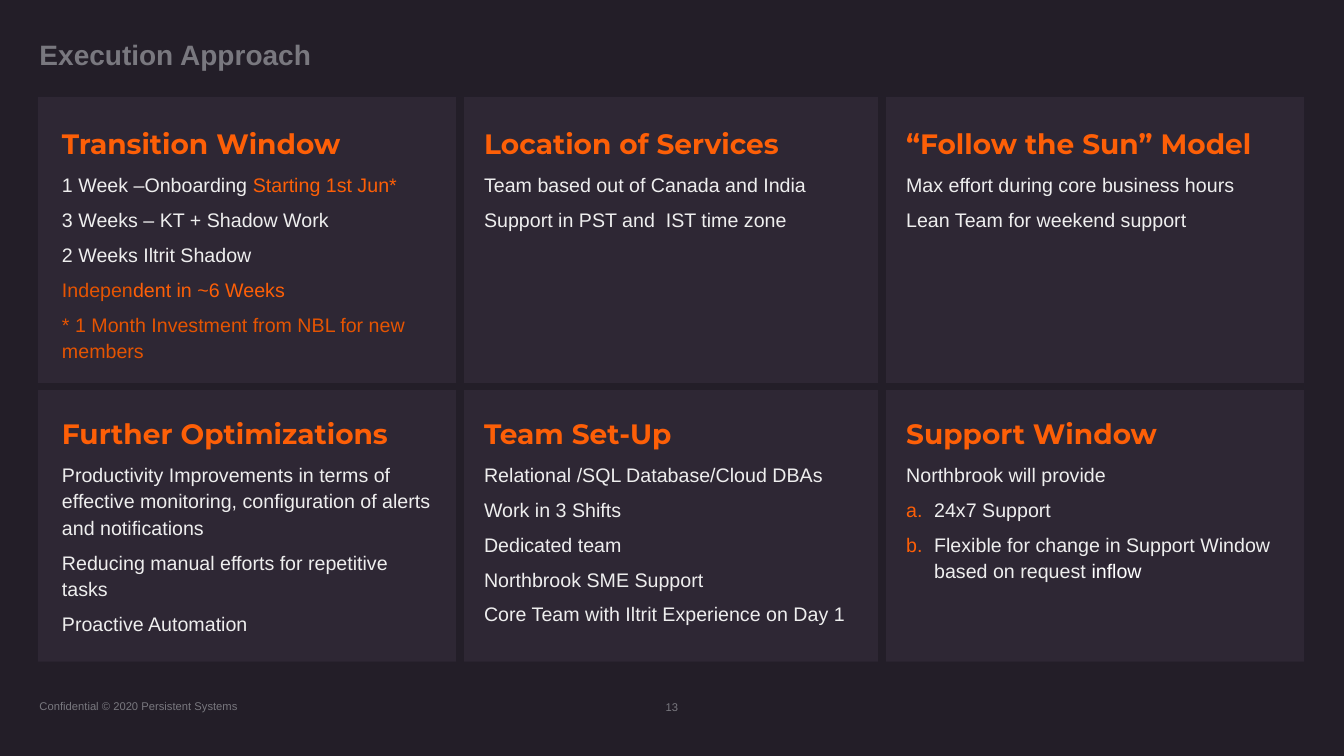
from lxml.etree import SubElement
from pptx import Presentation
from pptx.dml.color import RGBColor
from pptx.enum.text import MSO_ANCHOR, PP_ALIGN
from pptx.oxml import parse_xml
from pptx.oxml.ns import nsdecls, qn
from pptx.util import Pt

COLORS = {
    "background": "231E28",
    "panel": "393141",
    "accent": "FD5F07",
    "dark_accent": "E55402",
    "body": "EEEEEE",
    "white": "FFFFFF",
    "muted": "79787F",
}
PLAIN_TABLE_STYLE = "{2D5ABB26-0587-4C30-8999-92F81FD0307C}"
ROWS, COLUMNS = 2, 3
GAP = 6
CELL_MARGIN = Pt(17.28)
CELL_BOTTOM_MARGIN = Pt(10)

# Each panel is a heading and its paragraphs; a paragraph is a list of (text, color) runs.
PANELS = [
    ("Transition Window", [
        [("1 Week –Onboarding ", "body"), ("Starting 1st Jun*", "accent")],
        [("3 Weeks – KT + Shadow Work", "body")],
        [("2 Weeks Iltrit Shadow", "body")],
        [("Indepen", "dark_accent"), ("dent in ~6 Weeks", "accent")],
        [("* 1 Month Investment from NBL for new members", "dark_accent")],
    ]),
    ("Location of Services", [
        [("Team based out of Canada and India", "body")],
        [("Support in PST and  IST time zone", "body")],
    ]),
    ("“Follow the Sun” Model", [
        [("Max effort during core business hours", "body")],
        [("Lean Team for weekend support", "body")],
    ]),
    ("Further Optimizations", [
        [("Productivity Improvements in terms of effective monitoring, "
          "configuration of alerts and notifications", "body")],
        [("Reducing manual efforts for repetitive tasks", "body")],
        [("Proactive Automation", "body")],
    ]),
    ("Team Set-Up", [
        [("Relational /SQL Database/Cloud DBAs", "body")],
        [("Work in 3 Shifts", "body")],
        [("Dedicated team", "body")],
        [("Northbrook SME Support", "body")],
        [("Core Team with Iltrit Experience on Day 1", "body")],
    ]),
    ("Support Window", [
        [("Northbrook will provide", "body")],
        [("24x7 Support", "body")],
        [("Flexible for change in Support Window based on request ", "body"),
         ("inflow", "white")],
    ]),
]
LETTERED = {"Support Window": {1, 2}}


def rgb(name):
    return RGBColor.from_string(COLORS[name])


def set_font(font, size, color, name="Arial", bold=False):
    font.size = Pt(size)
    font.name = name
    font.bold = bold
    font.color.rgb = rgb(color)


def clear_margins(text_frame):
    text_frame.margin_left = text_frame.margin_right = 0
    text_frame.margin_top = text_frame.margin_bottom = 0


def add_title(slide, left, top, width, height):
    title = slide.shapes.title
    title.left, title.top, title.width, title.height = map(Pt, (left, top, width, height))
    text_frame = title.text_frame
    clear_margins(text_frame)
    text_frame.vertical_anchor = MSO_ANCHOR.MIDDLE
    paragraph = text_frame.paragraphs[0]
    paragraph.text = "Execution Approach"
    paragraph.alignment = PP_ALIGN.LEFT
    paragraph.line_spacing = 0.9
    set_font(paragraph.font, 20, "muted", bold=True)


def add_small_text(slide, text, left, top, width, height, alignment):
    box = slide.shapes.add_textbox(Pt(left), Pt(top), Pt(width), Pt(height))
    text_frame = box.text_frame
    clear_margins(text_frame)
    text_frame.vertical_anchor = MSO_ANCHOR.MIDDLE
    paragraph = text_frame.paragraphs[0]
    paragraph.text = text
    paragraph.alignment = alignment
    set_font(paragraph.font, 8, "muted")


def add_letter(paragraph):
    """Number the paragraph a., b., ... in the accent color with a hanging indent."""
    properties = paragraph._p.get_or_add_pPr()
    properties.set("marL", str(Pt(20)))
    properties.set("indent", str(-Pt(20)))
    bullet_color = SubElement(properties, qn("a:buClr"))
    SubElement(bullet_color, qn("a:srgbClr")).set("val", COLORS["accent"])
    SubElement(properties, qn("a:buAutoNum")).set("type", "alphaLcPeriod")


def style_cell(cell, row, column):
    """Give the cell a half-transparent fill and thick borders on its inner sides."""
    cell.fill.solid()
    cell.fill.fore_color.rgb = rgb("panel")
    properties = cell._tc.get_or_add_tcPr()
    color = properties.find(f"{qn('a:solidFill')}/{qn('a:srgbClr')}")
    SubElement(color, qn("a:alpha")).set("val", "50000")
    inner_sides = {"lnL": column > 0, "lnR": column < COLUMNS - 1,
                   "lnT": row > 0, "lnB": row < ROWS - 1}
    sides = [side for side, is_inner in inner_sides.items() if is_inner]
    for position, side in enumerate(sides):
        properties.insert(position, parse_xml(
            f'<a:{side} {nsdecls("a")} w="{Pt(GAP)}"><a:solidFill>'
            f'<a:srgbClr val="{COLORS["background"]}"/></a:solidFill></a:{side}>'))


def fill_panel(cell, heading, lines):
    cell.margin_left = cell.margin_right = cell.margin_top = CELL_MARGIN
    cell.margin_bottom = CELL_BOTTOM_MARGIN
    paragraph = cell.text_frame.paragraphs[0]
    paragraph.text = heading
    paragraph.line_spacing = 1.2
    set_font(paragraph.font, 20, "accent", "Montserrat", True)
    for index, runs in enumerate(lines):
        paragraph = cell.text_frame.add_paragraph()
        paragraph.line_spacing = 1.2
        paragraph.space_before = Pt(6)
        if index in LETTERED.get(heading, ()):
            add_letter(paragraph)
        set_font(paragraph.font, 14, "body")
        for text, color in runs:
            run = paragraph.add_run()
            run.text = text
            if color != "body":
                run.font.color.rgb = rgb(color)


def add_panels(slide, left, top, width, height):
    frame = slide.shapes.add_table(ROWS, COLUMNS, Pt(left), Pt(top), Pt(width), Pt(height))
    table = frame.table
    table.first_row = table.horz_banding = False
    table._tbl.tblPr.find(qn("a:tableStyleId")).text = PLAIN_TABLE_STYLE
    for index, (heading, lines) in enumerate(PANELS):
        row, column = divmod(index, COLUMNS)
        cell = table.cell(row, column)
        style_cell(cell, row, column)
        fill_panel(cell, heading, lines)


def main():
    presentation = Presentation()
    presentation.slide_width, presentation.slide_height = Pt(960), Pt(540)
    slide = presentation.slides.add_slide(presentation.slide_layouts[5])
    slide.background.fill.solid()
    slide.background.fill.fore_color.rgb = rgb("background")
    add_small_text(slide, "Confidential © 2020 Persistent Systems",
                   28.2, 499.7, 143, 9.4, PP_ALIGN.LEFT)
    add_title(slide, 28.2, 26, 315, 28)
    add_panels(slide, 27, 69.1, 904.5, 393)
    add_small_text(slide, "13", 372, 490.5, 216, 28.8, PP_ALIGN.CENTER)
    presentation.save("out.pptx")


if __name__ == "__main__":
    main()
